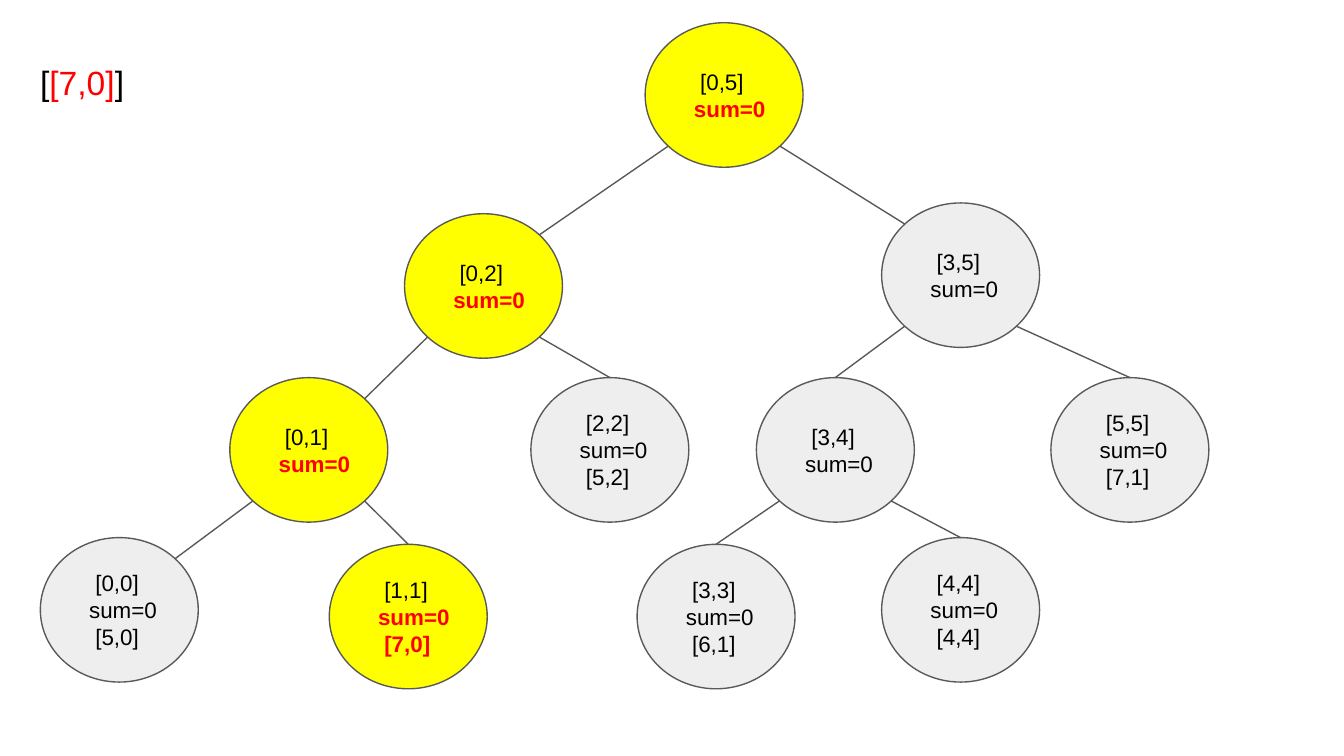
from math import sqrt

from pptx import Presentation
from pptx.dml.color import RGBColor
from pptx.enum import shapes, text
from pptx.util import Pt

COLORS = {"visited": "FFFF00", "idle": "EEEEEE", "line": "595959",
          "text": "000000", "accent": "FF0000"}
FONT = "Arial"
NODE_W, NODE_H = 84.6, 77.4
INSET = 7.2
RANGE_INDENT, SUM_INDENT = 10, 6.67

# range: (left, top, visited, leaf value)
NODES = {
    "[0,5]": (345.6, 12.2, True, None),
    "[0,1]": (123.1, 202.3, True, None),
    "[3,5]": (472.3, 108.7, False, None),
    "[0,2]": (216.7, 114.5, True, None),
    "[2,2]": (284.4, 202.3, False, "[5,2]"),
    "[3,4]": (405.2, 202.3, False, None),
    "[5,5]": (563, 202.3, False, "[7,1]"),
    "[1,1]": (176.4, 291.6, True, "[7,0]"),
    "[0,0]": (21.6, 288, False, "[5,0]"),
    "[3,3]": (341.3, 291.6, False, "[6,1]"),
    "[4,4]": (472.3, 288, False, "[4,4]"),
}
# parent, child, where the edge meets the child
EDGES = [
    ("[0,5]", "[0,2]", "corner"), ("[0,5]", "[3,5]", "corner"),
    ("[0,2]", "[0,1]", "corner"), ("[0,2]", "[2,2]", "top"),
    ("[0,1]", "[0,0]", "corner"), ("[0,1]", "[1,1]", "top"),
    ("[3,4]", "[3,3]", "top"), ("[3,4]", "[4,4]", "top"),
    ("[3,5]", "[3,4]", "top"), ("[3,5]", "[5,5]", "top"),
]
RESULT = [("[", "text"), ("[7,0]", "accent"), ("]", "text")]


def rgb(name):
    return RGBColor.from_string(COLORS[name])


def add_run(paragraph, words, size, color="text", bold=False):
    run = paragraph.add_run()
    run.text = words
    run.font.name, run.font.size, run.font.bold = FONT, Pt(size), bold
    run.font.color.rgb = rgb(color)


def set_frame(frame, anchor, right):
    frame.word_wrap = True
    frame.vertical_anchor = anchor
    frame.margin_left = frame.margin_top = frame.margin_bottom = Pt(INSET)
    frame.margin_right = Pt(right)


def add_node(slide, label, left, top, visited, leaf):
    shape = slide.shapes.add_shape(shapes.MSO_SHAPE.OVAL, Pt(left), Pt(top),
                                   Pt(NODE_W), Pt(NODE_H))
    shape.shadow.inherit = False
    shape.fill.solid()
    shape.fill.fore_color.rgb = rgb("visited" if visited else "idle")
    shape.line.color.rgb = rgb("line")
    shape.line.width = Pt(0.75)
    frame = shape.text_frame
    set_frame(frame, text.MSO_ANCHOR.MIDDLE, 0)
    lines = [(label, RANGE_INDENT, False), ("sum=0", SUM_INDENT, visited)]
    if leaf:
        lines.append((leaf, RANGE_INDENT, visited))
    for i, (words, indent, strong) in enumerate(lines):
        paragraph = frame.add_paragraph() if i else frame.paragraphs[0]
        paragraph.alignment = text.PP_ALIGN.LEFT
        properties = paragraph._p.get_or_add_pPr()
        properties.set("marL", str(Pt(indent)))
        properties.set("indent", "0")
        add_run(paragraph, words, 12, "accent" if strong else "text", strong)
    return shape


def corner(label, across, down):
    """Point on the node's outline on a diagonal; across and down are -1 or 1."""
    left, top = NODES[label][:2]
    return (Pt(left + NODE_W / 2 * (1 + across / sqrt(2))),
            Pt(top + NODE_H / 2 * (1 + down / sqrt(2))))


def add_edge(slide, ovals, parent, child, meeting):
    across = 1 if NODES[child][0] > NODES[parent][0] else -1
    line = slide.shapes.add_connector(shapes.MSO_CONNECTOR.STRAIGHT,
                                      *corner(parent, across, 1),
                                      *corner(child, -across, -1))
    if meeting == "top":
        line.end_connect(ovals[child], 0)
    line.line.color.rgb = rgb("line")
    line.line.width = Pt(0.75)
    properties = line._element.spPr
    properties.append(properties.makeelement(
        "{http://schemas.openxmlformats.org/drawingml/2006/main}effectLst", {}))


def main():
    presentation = Presentation()
    presentation.slide_width, presentation.slide_height = Pt(720), Pt(405)
    slide = presentation.slides.add_slide(presentation.slide_layouts[6])

    ovals = {label: add_node(slide, label, *node) for label, node in NODES.items()}
    for edge in EDGES:
        add_edge(slide, ovals, *edge)

    result = slide.shapes.add_textbox(Pt(14.4), Pt(25.9), Pt(260), Pt(41.8))
    set_frame(result.text_frame, text.MSO_ANCHOR.TOP, INSET)
    for words, color in RESULT:
        add_run(result.text_frame.paragraphs[0], words, 18, color)

    presentation.save("out.pptx")


if __name__ == "__main__":
    main()
